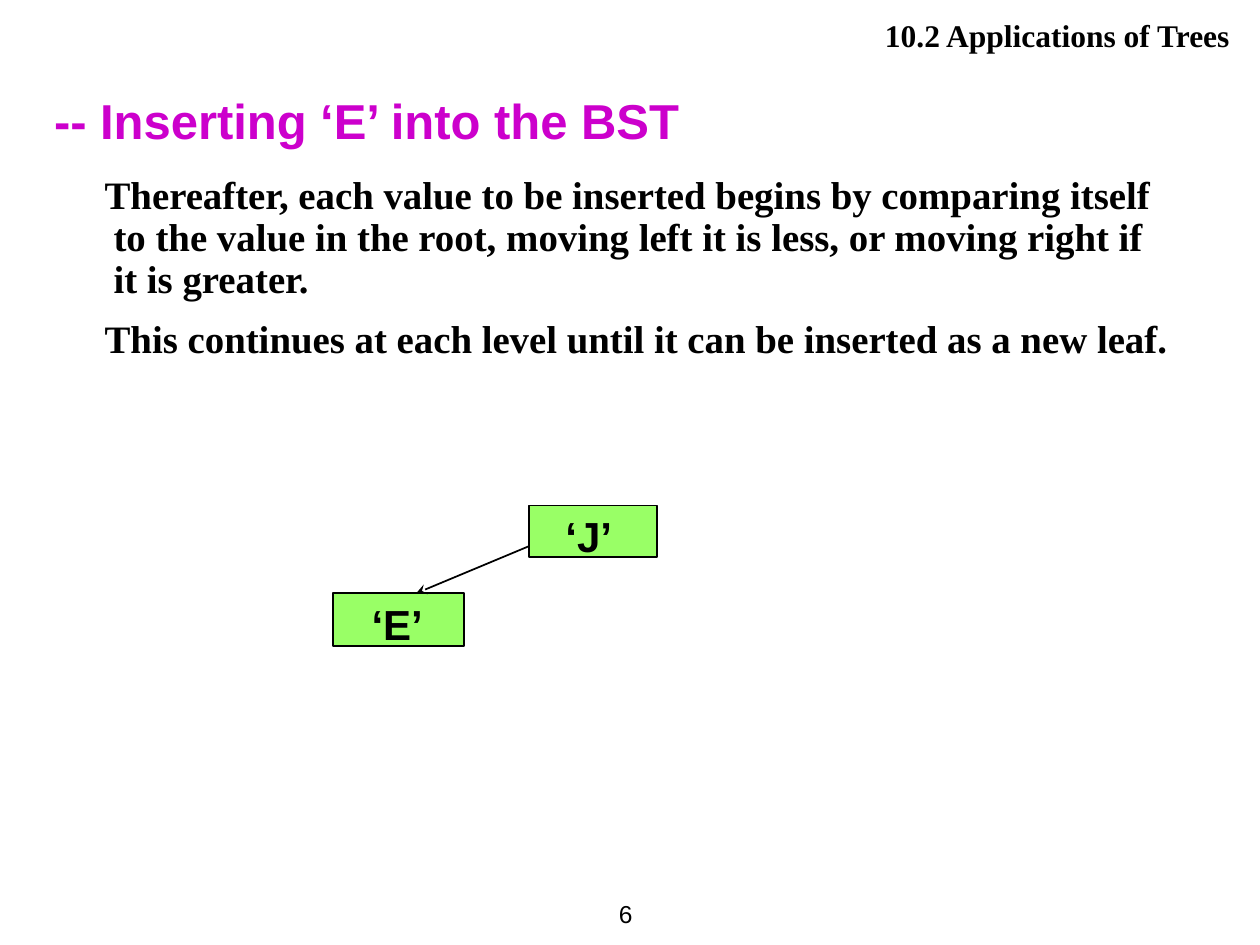
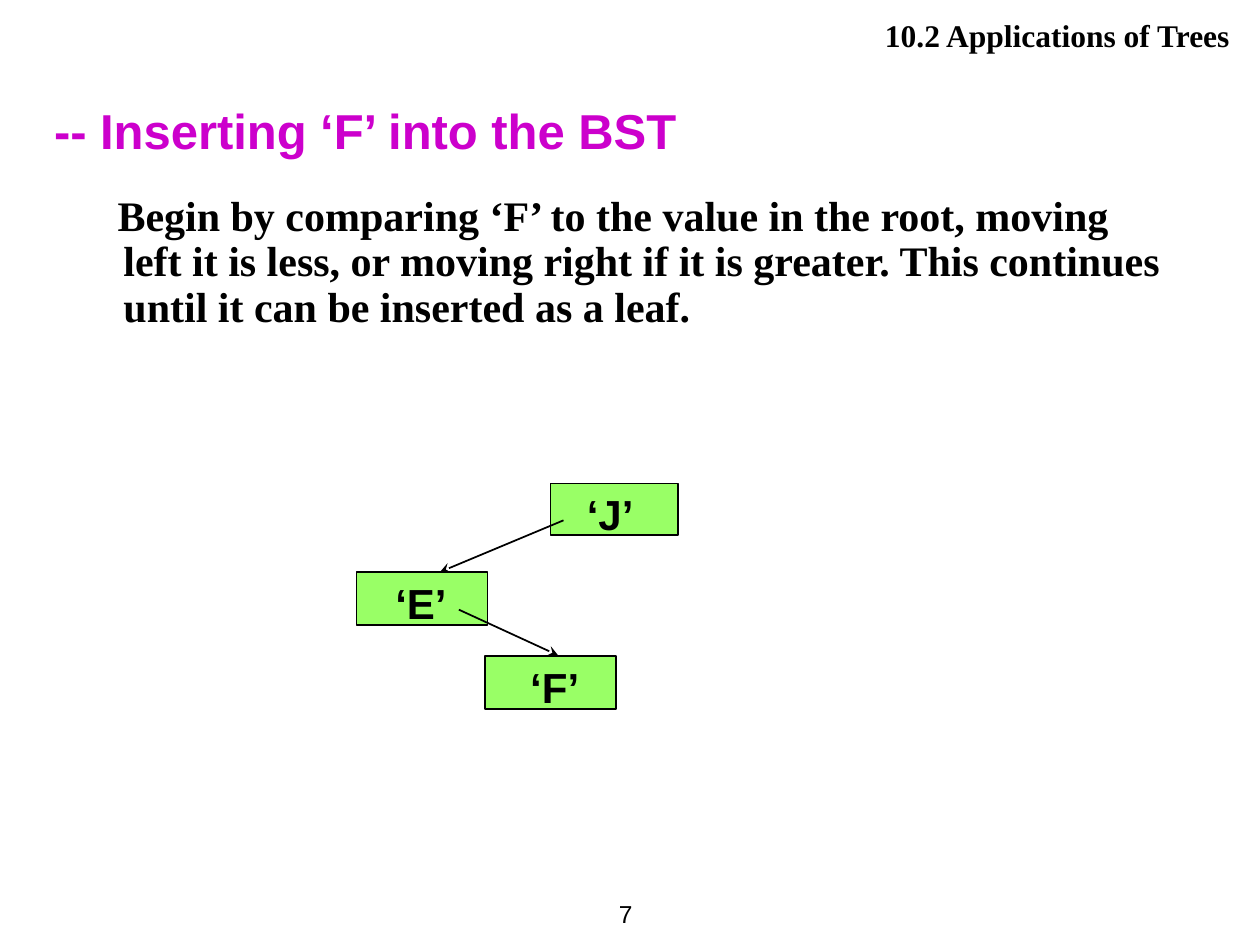
from pptx import Presentation
from pptx.dml.color import RGBColor
from pptx.enum.shapes import MSO_CONNECTOR, MSO_SHAPE
from pptx.enum.text import MSO_ANCHOR, PP_ALIGN
from pptx.oxml.ns import qn
from pptx.util import Cm, Pt
from lxml.etree import SubElement

BLACK = RGBColor(0x00, 0x00, 0x00)
PURPLE = RGBColor(0xCC, 0x00, 0xCC)
GREEN = RGBColor(0x99, 0xFF, 0x66)
SANS, SERIF = "Arial", "Times New Roman"

# Node kinds: box size, label offset and width
NODES = {
    "J": ((2.57, 1.04), (0.48, -0.03), 1.45),
    "E": ((2.64, 1.07), (0.53, -0.02), 1.55),
    "F": ((2.64, 1.07), (0.66, -0.02), 1.50),
}
# Arrows into a node: tip offset from the box, then run back to the parent
ARROWS = {"E": ((1.68, 0), (2.49, -1.04)), "F": ((1.47, -0.02), (-2, -0.92))}

SLIDES = [
    dict(page="6", key="E", title=(1.12, 2.01), body=(1.07, 3.43, 22.83, 5.69),
         size=22.2, first=-0.18, gaps=(6, 10),
         text=["Thereafter, each value to be inserted begins by comparing itself to the "
               "value in the root, moving left it is less, or moving right if it is greater.",
               "This continues at each level until it can be inserted as a new leaf."],
         tree=[("E", 6.71, 11.96), ("J", 10.67, 10.19)]),
    dict(page="7", key="F", title=(1.09, 2.24), body=(1.27, 3.81, 22.66, 3.33),
         size=24, first=-0.12, gaps=(6,),
         text=["Begin by comparing ‘F’ to the value in the root, moving left it is less, "
               "or moving right if it is greater. This continues until it can be "
               "inserted as a leaf."],
         tree=[("J", 11.1, 9.75), ("E", 7.19, 11.53), ("F", 9.78, 13.23)]),
]


def write(slide, lines, x, y, w, h, size, font=SANS, color=BLACK, bold=True,
          align=PP_ALIGN.LEFT, anchor=MSO_ANCHOR.TOP, wrap=True,
          gaps=(0,), space=1.0, left=0, first=0):
    frame = slide.shapes.add_textbox(Cm(x), Cm(y), Cm(w), Cm(h)).text_frame
    frame.word_wrap = wrap
    frame.vertical_anchor = anchor
    for i, (line, gap) in enumerate(zip(lines, gaps)):
        para = frame.add_paragraph() if i else frame.paragraphs[0]
        para.alignment = align
        para.space_before = Pt(gap)
        para.line_spacing = space
        if left:
            props = para._p.get_or_add_pPr()
            props.set("marL", str(Cm(left)))
            props.set("indent", str(Cm(first)))
        run = para.add_run()
        run.text = line
        run.font.name, run.font.size, run.font.bold = font, Pt(size), bold
        run.font.color.rgb = color


def link(slide, x, y, dx, dy):
    line = slide.shapes.add_connector(
        MSO_CONNECTOR.STRAIGHT, Cm(x), Cm(y), Cm(x + dx), Cm(y + dy))
    line.line.color.rgb = BLACK
    line.line.width = Pt(1)
    SubElement(line.line._get_or_add_ln(), qn("a:headEnd"), type="stealth")
    SubElement(line._element.spPr, qn("a:effectLst"))


deck = Presentation()
deck.slide_width, deck.slide_height = Cm(25.4), Cm(19.05)

for data in SLIDES:
    slide = deck.slides.add_slide(deck.slide_layouts[6])

    # Page number, section header and title
    write(slide, [data["page"]], 11.3, 17.78, 1.7, 1.27, 14, bold=False,
          align=PP_ALIGN.RIGHT, anchor=MSO_ANCHOR.MIDDLE, wrap=False)
    write(slide, ["10.2 Applications of Trees"], 10.11, 0.2, 14.93, 1.02, 18,
          font=SERIF, align=PP_ALIGN.RIGHT, gaps=(11.2,))
    top, tall = data["title"]
    write(slide, [f"-- Inserting ‘{data['key']}’ into the BST"], 0.84, top, 23.29, tall,
          28, color=PURPLE, anchor=MSO_ANCHOR.BOTTOM)

    # Explanation
    write(slide, data["text"], *data["body"], data["size"], font=SERIF,
          gaps=data["gaps"], space=0.9, left=0.97, first=data["first"])

    # Tree: box, arrow from the parent, label
    for key, x, y in data["tree"]:
        (w, h), (dx, dy), wide = NODES[key]
        box = slide.shapes.add_shape(MSO_SHAPE.RECTANGLE, Cm(x), Cm(y), Cm(w), Cm(h))
        box.shadow.inherit = False
        box.fill.solid()
        box.fill.fore_color.rgb = GREEN
        box.line.color.rgb = BLACK
        box.line.width = Pt(1)
        if key in ARROWS:
            (tx, ty), run = ARROWS[key]
            link(slide, x + tx, y + ty, *run)
        write(slide, [f"‘{key}’"], x + dx, y + dy, wide, 1.27, 24, wrap=False)

deck.save("out.pptx")
